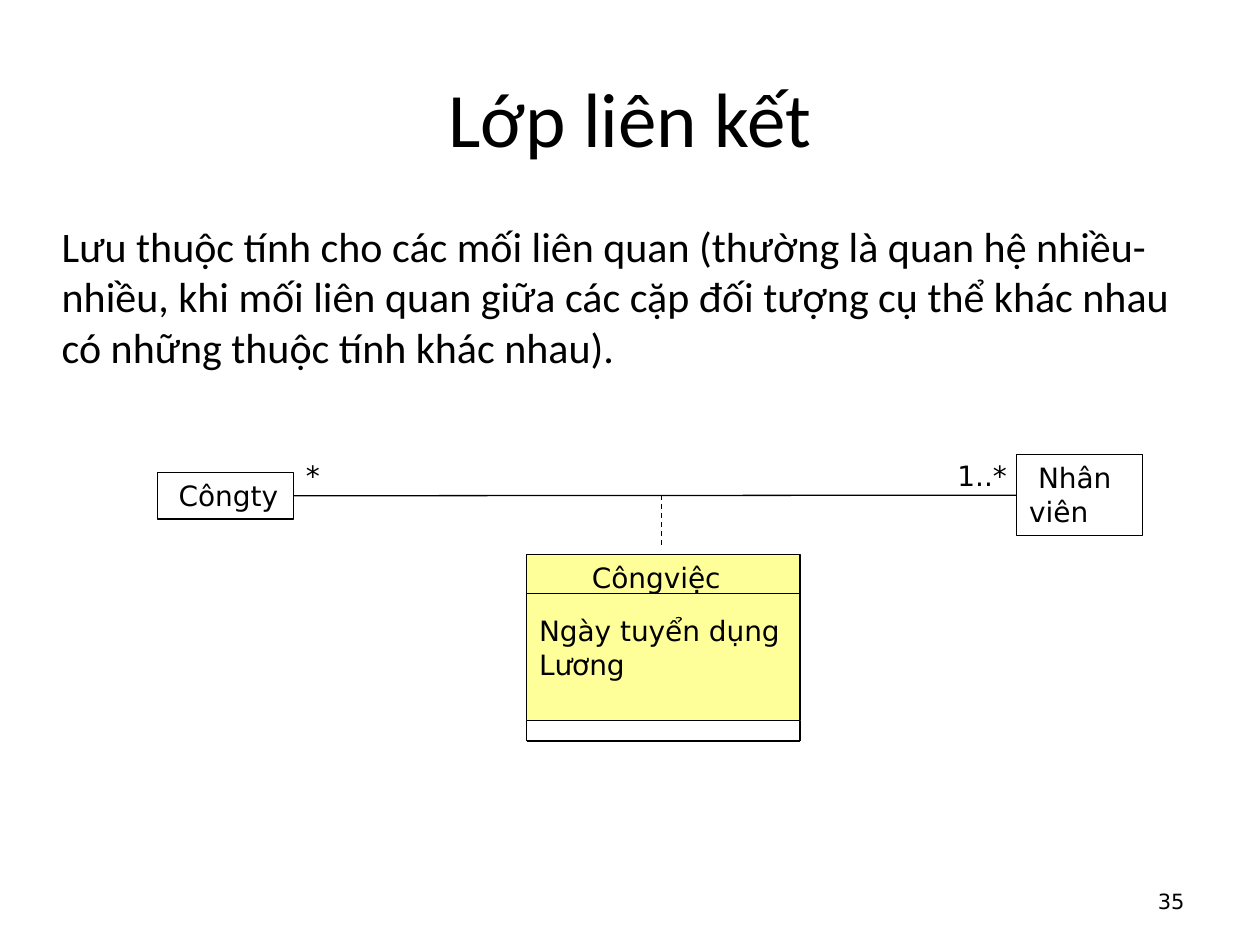
import pptx
import pptx.util
import pptx.dml.color
import pptx.enum.dml
import pptx.enum.shapes
import pptx.enum.text
import lxml.etree

Inches = pptx.util.Inches
Pt = pptx.util.Pt
ALIGN = pptx.enum.text.PP_ALIGN
ANCHOR = pptx.enum.text.MSO_ANCHOR
BLACK, YELLOW = "000000", "FFFF99"
LABEL = dict(font="DejaVu Sans", size=16, before=11.2)


def colour(value):
    return pptx.dml.color.RGBColor.from_string(value)


def place(shape, box):
    shape.left, shape.top, shape.width, shape.height = map(Inches, box)


def write(shape, *lines, font="Calibri", size=24, align=ALIGN.LEFT,
          anchor=ANCHOR.TOP, before=0, margin=0, indents=()):
    """Write one paragraph per line; indents give each first-line indent."""
    frame = shape.text_frame
    frame.word_wrap = True
    frame.auto_size = pptx.enum.text.MSO_AUTO_SIZE.NONE
    frame.vertical_anchor = anchor
    for index, line in enumerate(lines):
        para = frame.paragraphs[0] if index == 0 else frame.add_paragraph()
        para.alignment = align
        para.line_spacing = 1.0
        para.space_before = Pt(before)
        indent = indents[index] if index < len(indents) else 0
        props = para._p.get_or_add_pPr()
        props.set("marL", str(Inches(margin)))
        props.set("indent", str(Inches(indent)))
        lxml.etree.SubElement(props, pptx.oxml.ns.qn("a:buNone"))
        span = para.add_run()
        span.text = line
        span.font.name = font
        span.font.size = Pt(size)
        span.font.color.rgb = colour(BLACK)


def add_text(page, box, *lines, **style):
    write(page.shapes.add_textbox(*map(Inches, box)), *lines, **style)


def add_box(page, box, *lines, fill=None, **style):
    shape = page.shapes.add_shape(
        pptx.enum.shapes.MSO_SHAPE.RECTANGLE, *map(Inches, box))
    shape.shadow.inherit = False
    if fill:
        shape.fill.solid()
        shape.fill.fore_color.rgb = colour(fill)
    else:
        shape.fill.background()
    shape.line.color.rgb = colour(BLACK)
    shape.line.width = Pt(0.75)
    write(shape, *lines, **LABEL, **style)
    return shape


def add_line(page, start, end, dashed=False):
    line = page.shapes.add_connector(
        pptx.enum.shapes.MSO_CONNECTOR.STRAIGHT, *map(Inches, start + end))
    line.line.color.rgb = colour(BLACK)
    line.line.width = Pt(0.75)
    if dashed:
        line.line.dash_style = pptx.enum.dml.MSO_LINE.DASH
    lxml.etree.SubElement(line._element.spPr, pptx.oxml.ns.qn("a:effectLst"))
    return line


def add_association(page, left, middle, width):
    """Two classes on one axis, joined by a line with its multiplicities."""
    right = left + width
    company = add_box(page, (left, middle - 0.18, 1.08, 0.37), "Côngty",
                      indents=(0.07,))
    employee = add_box(page, (right - 1, middle - 0.32, 1, 0.64), "Nhân viên",
                       indents=(0.07,))
    link = add_line(page, (left + 1.08, middle), (right - 1, middle))
    link.begin_connect(company, 3)
    link.end_connect(employee, 1)
    for x, width, label in ((left + 1.08, 0.42, "*"),
                            (right - 1.57, 0.75, "1..*")):
        add_text(page, (x, middle - 0.34, width, 0.37), label, **LABEL)


def add_association_class(page, left, top, width, height):
    """A class with name, attributes and an empty operations strip."""
    right, bottom, strip = left + width, top + height, 0.16
    add_box(page, (left, top, width, height - strip), "Côngviệc",
            "Ngày tuyển dụng Lương", fill=YELLOW, indents=(0.42,))
    for y in (top + 0.31, bottom):
        add_line(page, (left, y), (right, y))
    for x in (left, right):
        add_line(page, (x, bottom - strip), (x, bottom))


def main():
    deck = pptx.Presentation()
    deck.slide_width, deck.slide_height = Inches(10), Inches(7.5)
    page = deck.slides.add_slide(deck.slide_layouts[1])
    title, body = page.placeholders
    place(title, (0.5, 0.3, 9, 1.25))
    write(title, "Lớp liên kết", size=44, align=ALIGN.CENTER,
          anchor=ANCHOR.MIDDLE)
    place(body, (0.33, 1.7, 9.33, 1.42))
    write(body, "Lưu thuộc tính cho các mối liên quan (thường là quan hệ "
          "nhiều-nhiều, khi mối liên quan giữa các cặp đối tượng cụ thể khác "
          "nhau có những thuộc tính khác nhau).", before=6, margin=0.06)
    axis = 3.93
    add_association(page, 1.25, axis, 7.82)
    add_line(page, (5.25, axis), (5.25, 4.34), dashed=True)
    add_association_class(page, 4.18, 4.4, 2.17, 1.48)
    add_text(page, (7.17, 6.95, 2.33, 0.4), "35", font="DejaVu Sans", size=12,
             align=ALIGN.RIGHT, anchor=ANCHOR.MIDDLE)
    deck.save("out.pptx")


if __name__ == "__main__":
    main()
